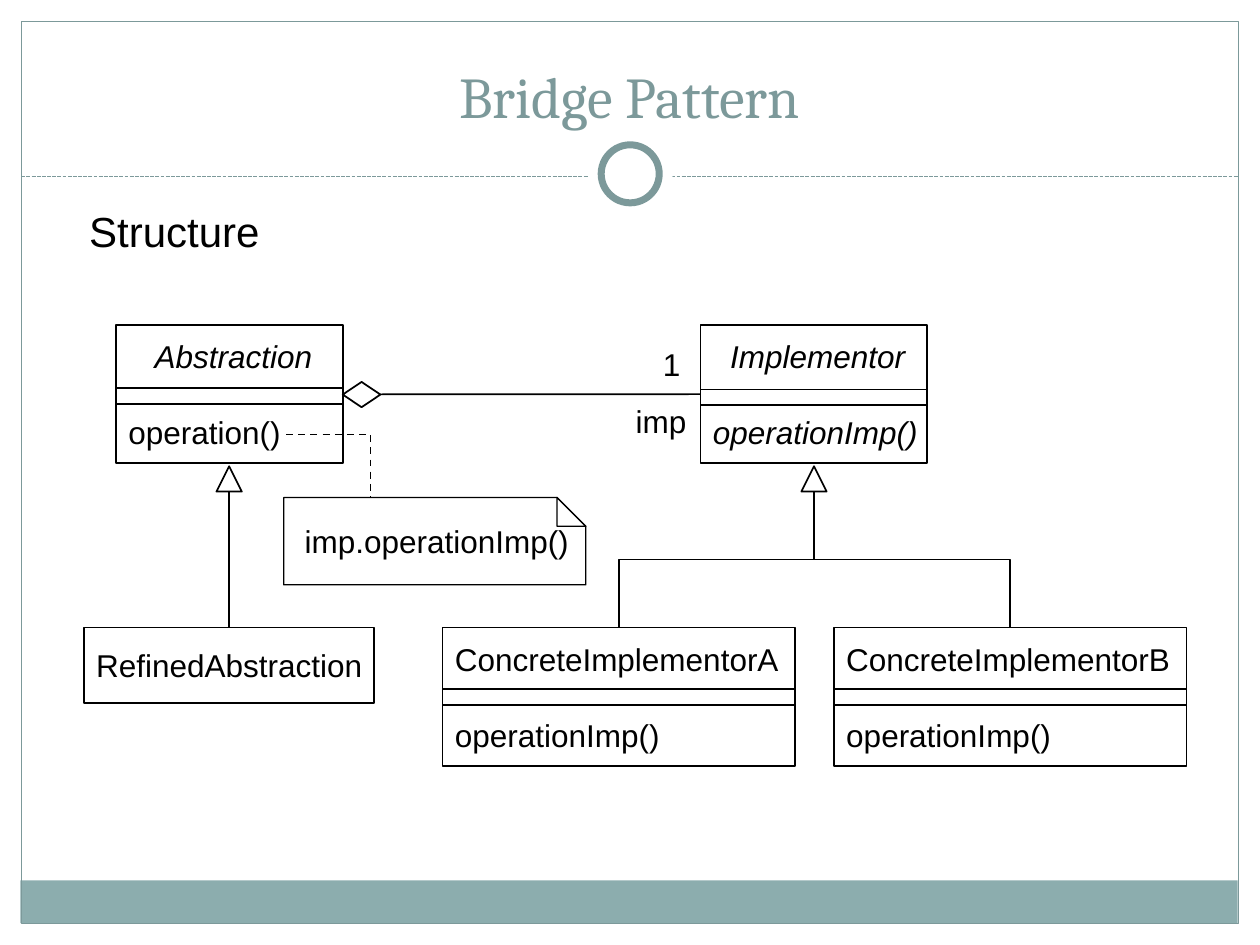
from dataclasses import dataclass

from lxml import etree
from pptx import Presentation
from pptx.dml.color import RGBColor
from pptx.enum.dml import MSO_LINE
from pptx.enum.shapes import MSO_CONNECTOR, MSO_SHAPE
from pptx.enum.text import MSO_ANCHOR, PP_ALIGN
from pptx.oxml.ns import qn
from pptx.util import Cm, Pt

RECTANGLE, OVAL = MSO_SHAPE.RECTANGLE, MSO_SHAPE.OVAL
TRIANGLE, RIGHT_TRIANGLE = MSO_SHAPE.ISOSCELES_TRIANGLE, MSO_SHAPE.RIGHT_TRIANGLE
DIAMOND = MSO_SHAPE.DIAMOND
STRAIGHT, ELBOW = MSO_CONNECTOR.STRAIGHT, MSO_CONNECTOR.ELBOW
DASH, SMALL_DASH = MSO_LINE.DASH, MSO_LINE.SQUARE_DOT
LEFT, CENTER = PP_ALIGN.LEFT, PP_ALIGN.CENTER
TOP, MIDDLE, BOTTOM = MSO_ANCHOR.TOP, MSO_ANCHOR.MIDDLE, MSO_ANCHOR.BOTTOM
SIDE_TOP, SIDE_LEFT = 0, 1

COLORS = {"ink": "000000", "accent": "7C999A", "footer": "8CADAE", "paper": "FFFFFF"}
CLASS_TOP, SUBCLASS_TOP, CLASS_HEIGHT = 6.55, 12.65, 2.79
COMPARTMENT_GAP = 0.32
ARROW_SIZE = 0.51


@dataclass
class ClassBox:
    name: str
    operation: str
    left: float
    top: float
    width: float
    divider: float
    name_indent: float = 0
    italic_name: bool = False
    italic_operation: bool = False


@dataclass
class Label:
    text: str
    left: float
    top: float
    width: float
    height: float
    anchor: MSO_ANCHOR = MIDDLE
    size: float = 18
    font: str = "Arial"
    color: str = "ink"


CLASSES = [
    ClassBox("Abstraction", "operation()", 2.34, CLASS_TOP, 4.57, 1.27, 0.53, True),
    ClassBox("Implementor", "operationImp()", 14.12, CLASS_TOP, 4.57, 1.3, 0.35, True, True),
    ClassBox("ConcreteImplementorA", "operationImp()", 8.92, SUBCLASS_TOP, 7.11, 1.24),
    ClassBox("ConcreteImplementorB", "operationImp()", 16.81, SUBCLASS_TOP, 7.11, 1.24),
]
LABELS = [
    Label("Bridge Pattern", 0.84, 0.64, 23.7, 2.11, BOTTOM, 33, "Cambria", "accent"),
    Label("Structure", 1.52, 4.01, 3.99, 1.27, TOP, 24),
    Label("1", 13.11, 6.83, 0.86, 1.02),
    Label("imp", 12.55, 7.98, 1.55, 1.02),
]


def rgb(name: str) -> RGBColor:
    return RGBColor.from_string(COLORS[name])


def style_shape(shape, fill: str = "", line: str = "", line_width: float = 1) -> None:
    shape.shadow.inherit = False
    if fill:
        shape.fill.solid()
        shape.fill.fore_color.rgb = rgb(fill)
    else:
        shape.fill.background()
    if line:
        shape.line.color.rgb = rgb(line)
        shape.line.width = Pt(line_width)
    else:
        shape.line.fill.background()


def add_box(slide, kind, left: float, top: float, width: float, height: float, **style):
    shape = slide.shapes.add_shape(kind, Cm(left), Cm(top), Cm(width), Cm(height))
    style_shape(shape, **style)
    return shape


def add_line(slide, start: tuple, end: tuple, color: str = "ink", line_width: float = 1,
             dash=None, kind=STRAIGHT):
    connector = slide.shapes.add_connector(kind, *map(Cm, start + end))
    connector.line.color.rgb = rgb(color)
    connector.line.width = Pt(line_width)
    if dash:
        connector.line.dash_style = dash
    etree.SubElement(connector._element.spPr, qn("a:effectLst"))
    return connector


def add_vertical_elbow(slide, start: tuple, end: tuple) -> None:
    """Draw an elbow that leaves downwards, by turning a sideways one."""
    middle_x, middle_y = (start[0] + end[0]) / 2, (start[1] + end[1]) / 2
    half_width, half_height = (end[1] - start[1]) / 2, abs(end[0] - start[0]) / 2
    to_left = end[0] < start[0]
    direction = 1 if to_left else -1
    connector = add_line(
        slide,
        (middle_x - direction * half_width, middle_y - half_height),
        (middle_x + direction * half_width, middle_y + half_height),
        kind=ELBOW,
    )
    degrees = 90 if to_left else 270
    connector._element.spPr.find(qn("a:xfrm")).set("rot", str(degrees * 60000))


def set_frame(shape, anchor=MIDDLE, left: float = 0) -> None:
    formats = {"word_wrap": True, "vertical_anchor": anchor, "margin_left": Cm(left),
               "margin_right": 0, "margin_top": Cm(0.13), "margin_bottom": Cm(0.13)}
    for attribute, value in formats.items():
        setattr(shape.text_frame, attribute, value)


def write(paragraph, text: str, align=CENTER, size: float = 18, font: str = "Arial",
          color: str = "ink", italic: bool = False) -> None:
    paragraph.alignment = align
    run = paragraph.add_run()
    run.text = text
    for attribute, value in {"name": font, "size": Pt(size), "italic": italic}.items():
        setattr(run.font, attribute, value)
    run.font.color.rgb = rgb(color)


def add_label(slide, label: Label) -> None:
    shape = slide.shapes.add_textbox(
        Cm(label.left), Cm(label.top), Cm(label.width), Cm(label.height))
    set_frame(shape, label.anchor)
    write(shape.text_frame.paragraphs[0], label.text,
          size=label.size, font=label.font, color=label.color)


def add_class(slide, box: ClassBox):
    shape = add_box(slide, RECTANGLE, box.left, box.top, box.width, CLASS_HEIGHT, line="ink")
    set_frame(shape, left=0.25)
    name = shape.text_frame.paragraphs[0]
    name._p.get_or_add_pPr().set("marL", str(int(Cm(box.name_indent))))
    write(name, box.name, LEFT, italic=box.italic_name)
    operation = shape.text_frame.add_paragraph()
    operation.space_before = Pt(22)
    write(operation, box.operation, LEFT, italic=box.italic_operation)
    for offset in (box.divider, box.divider + COMPARTMENT_GAP):
        y = box.top + offset
        add_line(slide, (box.left, y), (box.left + box.width, y))
    return shape


def add_note(slide, left: float, top: float, right: float, bottom: float, fold: float) -> None:
    corners = [(right - fold, top), (right, top + fold), (right, bottom), (left, bottom)]
    builder = slide.shapes.build_freeform(Cm(left), Cm(top))
    builder.add_line_segments([(Cm(x), Cm(y)) for x, y in corners], close=True)
    note = builder.convert_to_shape()
    style_shape(note, line="ink", line_width=0.75)
    set_frame(note, left=0.42)
    write(note.text_frame.paragraphs[0], "imp.operationImp()", LEFT)
    add_box(slide, RIGHT_TRIANGLE, right - fold, top, fold, fold, line="ink", line_width=0.75)


def main() -> None:
    presentation = Presentation()
    presentation.slide_width, presentation.slide_height = Cm(25.4), Cm(19.05)
    slide = presentation.slides.add_slide(presentation.slide_layouts[6])

    # Slide frame, footer band and divider with its ring
    add_box(slide, RECTANGLE, 0.41, 17.75, 24.54, 0.86, fill="footer")
    add_box(slide, RECTANGLE, 0.43, 0.43, 24.54, 18.19, line="accent", line_width=0.75)
    add_line(slide, (0.43, 3.56), (24.97, 3.56), "accent", 0.75, SMALL_DASH)
    add_box(slide, OVAL, 11.86, 2.67, 1.7, 1.7, fill="paper")
    add_box(slide, OVAL, 12.12, 2.92, 1.17, 1.17, fill="paper", line="accent", line_width=4)

    # Title, heading and association labels
    for label in LABELS:
        add_label(slide, label)

    # Classes
    shapes = {box.name: add_class(slide, box) for box in CLASSES}
    refined = add_box(slide, RECTANGLE, 1.7, SUBCLASS_TOP, 5.84, 1.52, line="ink")
    set_frame(refined)
    write(refined.text_frame.paragraphs[0], "RefinedAbstraction")

    # Aggregation
    add_box(slide, DIAMOND, 6.91, 7.7, 0.76, ARROW_SIZE, line="ink")
    aggregation = add_line(slide, (7.67, 7.95), (14.12, 7.95))
    aggregation.end_connect(shapes["Implementor"], SIDE_LEFT)

    # Inheritance
    arrow_top, arrow_bottom = 9.4, 9.4 + ARROW_SIZE
    for center in (4.62, 16.41):
        add_box(slide, TRIANGLE, center - ARROW_SIZE / 2, arrow_top,
                ARROW_SIZE, ARROW_SIZE, line="ink")
    inheritance = add_line(slide, (4.62, arrow_bottom), (4.62, SUBCLASS_TOP))
    inheritance.end_connect(refined, SIDE_TOP)
    for box in CLASSES[2:]:
        add_vertical_elbow(slide, (16.41, arrow_bottom), (box.left + box.width / 2, box.top))

    # Note and its dashed link
    add_note(slide, 5.72, 10.03, 11.81, 11.79, 0.58)
    link = add_line(slide, (5.77, 8.76), (7.47, 10.03), dash=DASH, kind=ELBOW)
    link._element.spPr.find(qn("a:prstGeom")).set("prst", "bentConnector2")

    presentation.save("out.pptx")


if __name__ == "__main__":
    main()
